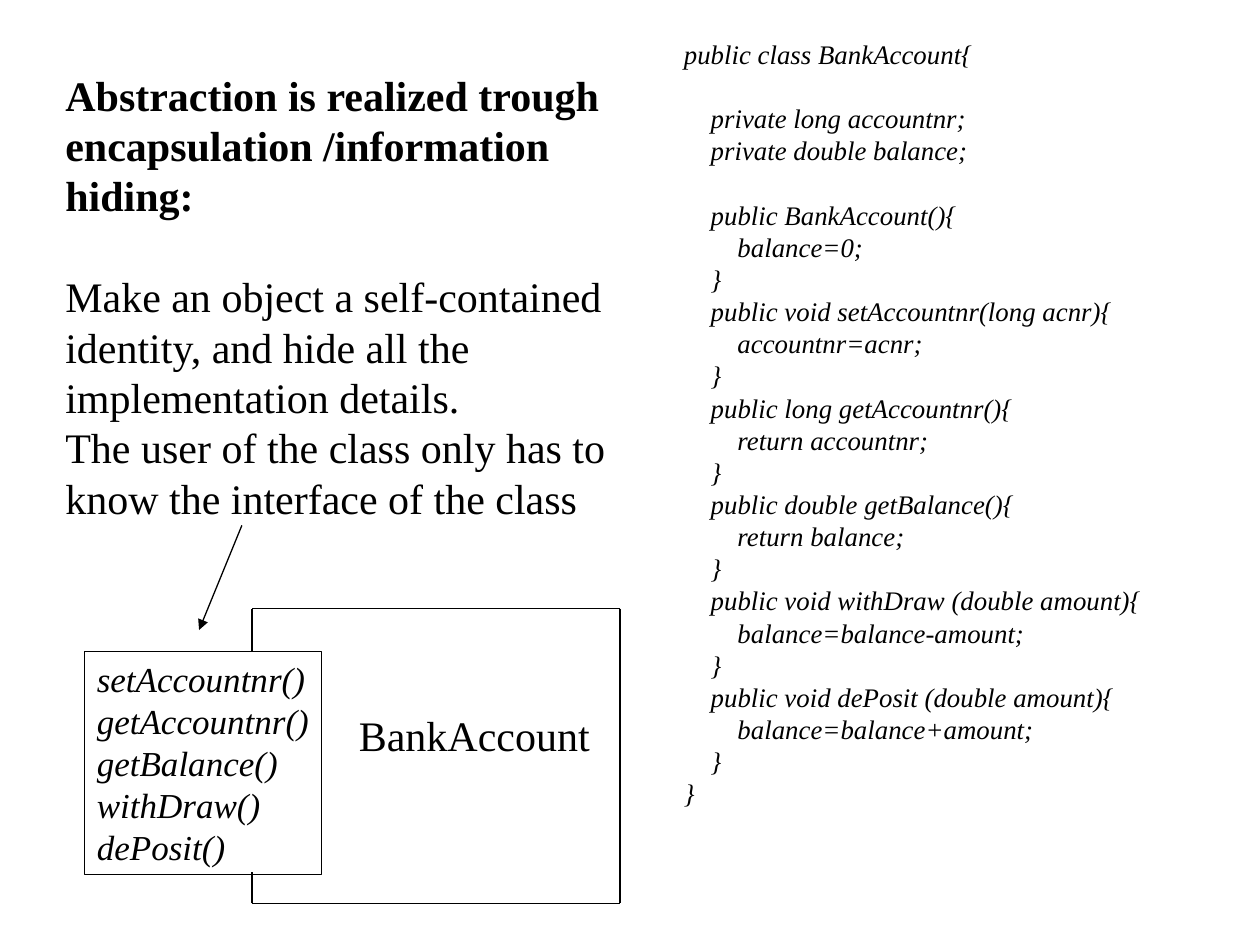
from itertools import pairwise

from lxml import etree
from pptx import Presentation
from pptx.dml.color import RGBColor
from pptx.enum.shapes import MSO_CONNECTOR, MSO_SHAPE
from pptx.enum.text import MSO_ANCHOR, MSO_AUTO_SIZE, PP_ALIGN
from pptx.oxml.ns import qn
from pptx.util import Inches, Pt

STRAIGHT = MSO_CONNECTOR.STRAIGHT
RECT = MSO_SHAPE.RECTANGLE
TOP = MSO_ANCHOR.TOP
LEFT = PP_ALIGN.LEFT
GROW = MSO_AUTO_SIZE.SHAPE_TO_FIT_TEXT

FONT = "Times New Roman"
BLACK = "000000"
LINE_HEIGHT = 1.2  # share of the font size
LINE_WIDTH = 0.75

# Content: an empty entry means a one-line gap above the next paragraph
HEADING = ["Abstraction is realized trough", "encapsulation /information hiding:"]
EXPLANATION = [
    "Make an object a self-contained identity, and hide all the implementation details.",
    "The user of the class only has to know the interface of the class",
]
CLASS_NAME = "BankAccount"
INTERFACE = ["setAccountnr()", "getAccountnr()", "getBalance()", "withDraw()", "dePosit()"]
FIELDS = ["private long accountnr;", "private double balance;"]
METHODS = [
    ("public BankAccount(){", "balance=0;"),
    ("public void setAccountnr(long acnr){", "accountnr=acnr;"),
    ("public long getAccountnr(){", "return accountnr;"),
    ("public double getBalance(){", "return balance;"),
    ("public void withDraw (double amount){", "balance=balance-amount;"),
    ("public void dePosit (double amount){", "balance=balance+amount;"),
]

# Corners of the open frame round the class, and the arrow to its interface
FRAME = [(2, 5.17), (2, 4.83), (4.92, 4.83), (4.92, 7.17), (2, 7.17), (2, 6.92)]
ARROW = [(1.92, 4.17), (1.58, 5)]


def color(hex_code):
    return RGBColor.from_string(hex_code)


def write(sp, lines, size, italic=False, bold_lines=(), wrap=True, grow=True):
    """Fill a shape with (indent level, text) lines."""
    tf = sp.text_frame
    tf.word_wrap = wrap
    tf.vertical_anchor = TOP
    if grow:
        tf.auto_size = GROW
    p, gap = tf.paragraphs[0], False
    for level, text in lines:
        if not text:
            gap = True
            continue
        if p.runs:
            p = tf.add_paragraph()
        p.alignment = LEFT
        if gap:
            p.space_before = Pt(size * LINE_HEIGHT)
            gap = False
        if level:
            # One level is four spaces, each a quarter of the font size
            p._p.get_or_add_pPr().set("marL", str(Pt(size * level)))
        r = p.add_run()
        r.text = text
        r.font.name = FONT
        r.font.size = Pt(size)
        r.font.italic = italic
        r.font.bold = text in bold_lines
        r.font.color.rgb = color(BLACK)


def add_text(slide, box, lines, **fmt):
    write(slide.shapes.add_textbox(*map(Inches, box)), lines, **fmt)


def add_line(slide, start, end, arrow=False):
    c = slide.shapes.add_connector(STRAIGHT, *map(Inches, start + end))
    c.line.color.rgb = color(BLACK)
    c.line.width = Pt(LINE_WIDTH)
    if arrow:
        etree.SubElement(c.line._get_or_add_ln(), qn("a:tailEnd"), type="triangle")
    etree.SubElement(c._element.spPr, qn("a:effectLst"))


def flat(lines):
    return [(0, text) for text in lines]


def class_code():
    lines = [(0, f"public class {CLASS_NAME}{{"), (0, "")]
    lines += [(1, field) for field in FIELDS] + [(0, "")]
    for head, body in METHODS:
        lines += [(1, head), (2, body), (1, "}")]
    return lines + [(0, "}")]


def main():
    prs = Presentation()
    prs.slide_width, prs.slide_height = Inches(10), Inches(7.5)
    slide = prs.slides.add_slide(prs.slide_layouts[6])

    # Source code on the right, explanation on the left
    add_text(slide, (5.33, 0.25, 4.67, 6.42), class_code(), size=15.3, italic=True, grow=False)
    add_text(slide, (0.42, 0.5, 4.75, 3.7), flat(HEADING + [""] + EXPLANATION),
             size=24, bold_lines=HEADING)

    # Class diagram: name, interface box, open frame and arrow
    add_text(slide, (2.75, 5.58, 2.03, 0.5), flat([CLASS_NAME]), size=24, wrap=False)
    sp = slide.shapes.add_shape(RECT, *map(Inches, (0.67, 5.17, 1.88, 1.77)))
    sp.shadow.inherit = False
    sp.fill.background()
    sp.line.color.rgb = color(BLACK)
    sp.line.width = Pt(LINE_WIDTH)
    # The longest method name needs the room of the right margin
    sp.text_frame.margin_right = 0
    write(sp, flat(INTERFACE), size=20, italic=True, grow=False)
    for start, end in pairwise(FRAME):
        add_line(slide, start, end)
    add_line(slide, *ARROW, arrow=True)

    prs.save("out.pptx")


if __name__ == "__main__":
    main()
